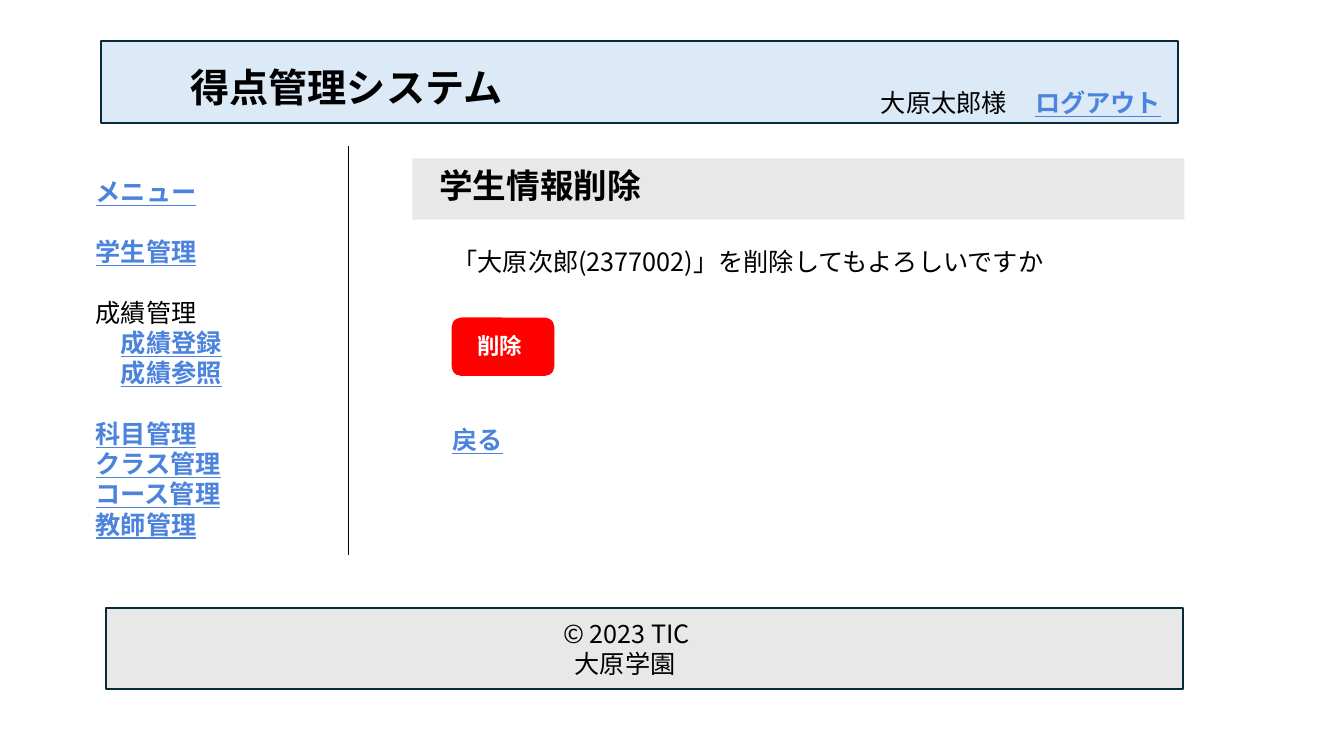
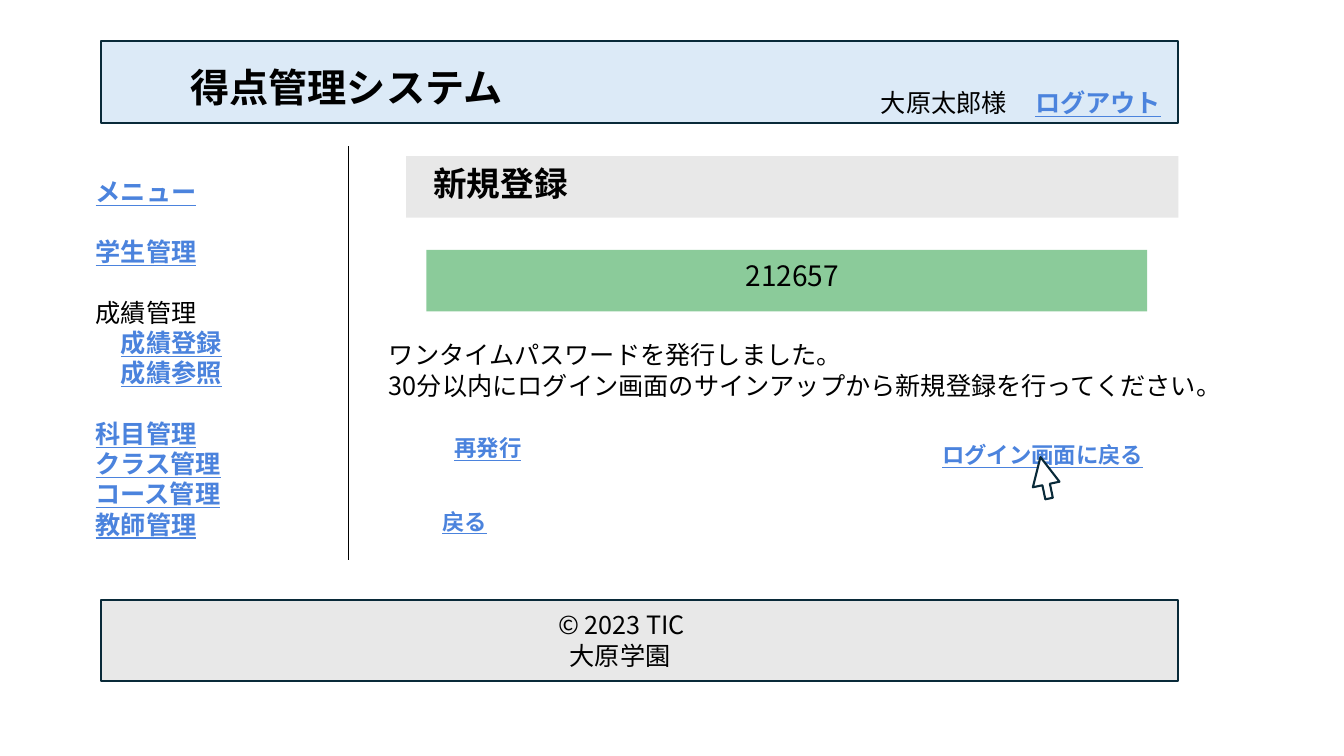
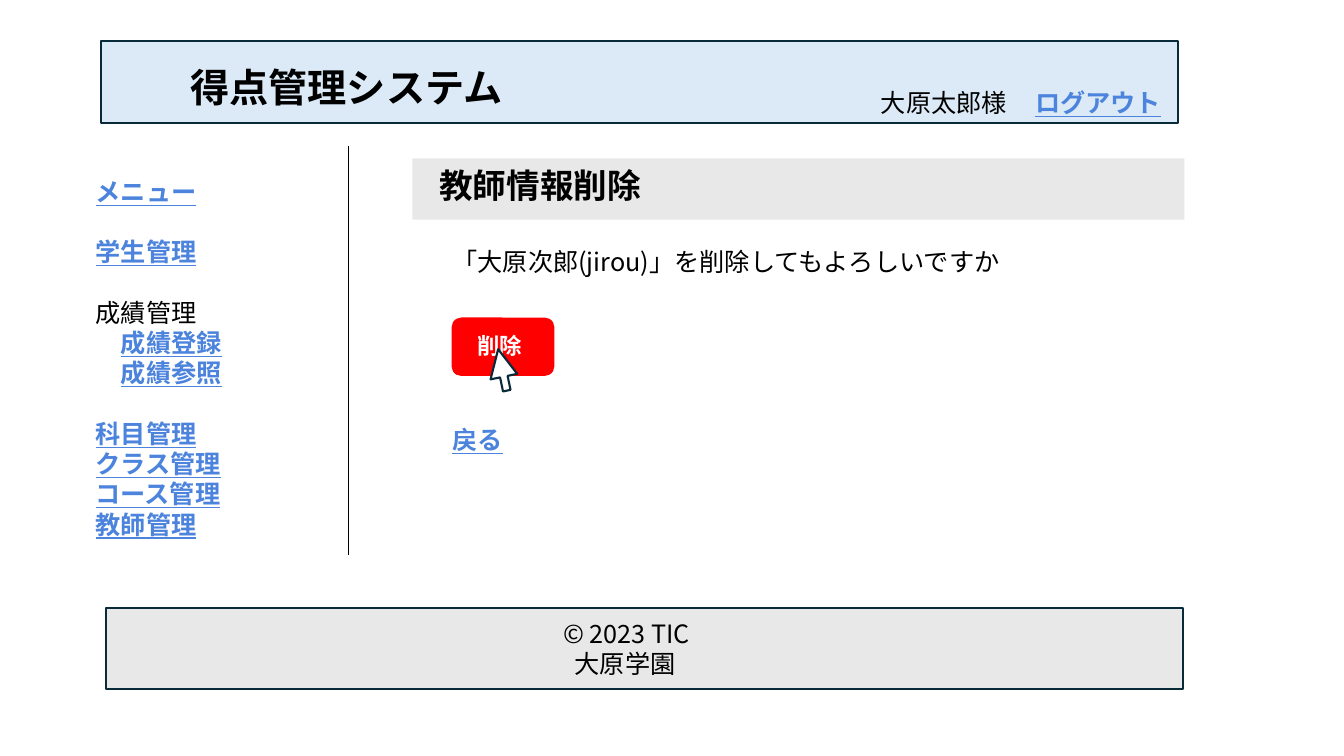
from dataclasses import dataclass
from typing import Optional

from lxml import etree
from pptx import Presentation
from pptx import util as u
from pptx.dml.color import RGBColor
from pptx.enum import shapes, text
from pptx.oxml import ns

CELL = 0.1  # inches per grid column and row
WIDE, HIGH = 133.33, 75
FONT = "Noto Sans CJK JP"
LEAD = 1.2
COLORS = {
    "ink": "000000",
    "link": "4B83DD",
    "white": "FFFFFF",
    "edge": "092A39",
    "head": "DCEAF7",
    "gray": "E8E8E8",
    "green": "8BCB9A",
    "red": "FF0000",
}
KIND = shapes.MSO_SHAPE


@dataclass(frozen=True)
class Box:
    """Place and size in grid cells."""
    x: float
    y: float
    w: float
    h: float


@dataclass(frozen=True)
class Line:
    """One paragraph: indent in em, blank lines left above it."""
    words: str
    link: bool = False
    indent: float = 0
    gap: int = 0


@dataclass(frozen=True)
class Frame:
    """Places that differ between the page types."""
    bar: Box
    foot: Box
    end: float


ASK = Frame(Box(40.9, 15.7, 76.6, 6.1), Box(10.5, 60.3, 106.9, 8.1), 55.1)
DONE = Frame(Box(40.3, 15.5, 76.6, 6.1), Box(10, 59.5, 106.9, 8.1), 55.6)

MENU = [
    Line("メニュー", True),
    Line("学生管理", True, gap=1),
    Line("成績管理", gap=1),
    Line("成績登録", True, indent=1),
    Line("成績参照", True, indent=1),
    Line("科目管理", True, gap=1),
    Line("クラス管理", True),
    Line("コース管理", True),
    Line("教師管理", True),
]


def cells(num: float) -> int:
    return u.Inches(num * CELL)


def rgb(name: str) -> RGBColor:
    return RGBColor.from_string(COLORS[name])


def place(box: Box) -> tuple:
    return tuple(cells(num) for num in (box.x, box.y, box.w, box.h))


def write(slide, box: Box, lines, *, size: float = 18, color: str = "ink",
          bold: bool = False, link: bool = False, center: bool = False) -> None:
    """Add a text box from a string or a list of lines."""
    frame = slide.shapes.add_textbox(*place(box)).text_frame
    frame.word_wrap = True
    if isinstance(lines, str):
        lines = [Line(lines, link)]
    for num, line in enumerate(lines):
        par = frame.add_paragraph() if num else frame.paragraphs[0]
        par.line_spacing = u.Pt(size * LEAD)
        if center:
            par.alignment = text.PP_ALIGN.CENTER
        if line.gap:
            par.space_before = u.Pt(size * LEAD * line.gap)
        if line.indent:
            par._p.get_or_add_pPr().set("marL", str(u.Pt(size * line.indent)))
        run = par.add_run()
        run.text = line.words
        font = run.font
        font.name, font.size = FONT, u.Pt(size)
        font.bold = bold or line.link
        font.underline = line.link
        font.color.rgb = rgb("link" if line.link else color)
        etree.SubElement(run._r.get_or_add_rPr(), ns.qn("a:ea"), typeface=FONT)


def shape(slide, box: Box, fill: str, kind=KIND.RECTANGLE,
          edge: Optional[str] = None):
    item = slide.shapes.add_shape(kind, *place(box))
    item.shadow.inherit = False
    item.fill.solid()
    item.fill.fore_color.rgb = rgb(fill)
    if edge:
        item.line.color.rgb = rgb(edge)
        item.line.width = u.Pt(1.5)
    else:
        item.line.fill.background()
    return item


def rule(slide, x: float, top: float, end: float) -> None:
    """Draw the upright line beside the menu."""
    item = slide.shapes.add_connector(
        shapes.MSO_CONNECTOR.STRAIGHT, cells(x), cells(top), cells(x), cells(end))
    item.line.color.rgb = rgb("ink")
    item.line.width = u.Pt(1)
    etree.SubElement(item._element.spPr, ns.qn("a:effectLst"))


def cursor(slide, x: float, y: float) -> None:
    item = shape(slide, Box(x, y, 2.7, 4.2), "white", KIND.UP_ARROW, "edge")
    item.adjustments[0], item.adjustments[1] = 0.28, 1.03
    item.rotation = 348.2


def page(deck, title: str, frame: Frame):
    """Add a slide with header, menu, title bar and footer."""
    slide = deck.slides.add_slide(deck.slide_layouts[6])
    rule(slide, 34.6, 14.5, frame.end)
    shape(slide, Box(10, 4.1, 106.9, 8.1), "head", edge="edge")
    write(slide, Box(17.9, 5.8, 91.1, 5.7), "得点管理システム", size=28, bold=True)
    write(slide, Box(86.4, 8.2, 15.3, 4), "大原太郎様")
    write(slide, Box(101.7, 8.2, 15.3, 4), "ログアウト", link=True)
    bar, foot = frame.bar, frame.foot
    shape(slide, bar, "gray")
    write(slide, Box(bar.x + 1.7, bar.y + 0.2, 52.9, 5), title, size=24, bold=True)
    shape(slide, foot, "gray", edge="edge")
    write(slide, Box(foot.x + 44.4, foot.y + 0.5, 20.4, 7.1),
          [Line("© 2023 TIC"), Line("大原学園", indent=0.45)])
    write(slide, Box(8.5, 17, 24.2, 37.4), MENU)
    return slide


def ask(deck, title: str, name: str):
    """Add a page that asks whether to delete a person."""
    slide = page(deck, title, ASK)
    shape(slide, Box(44.8, 31.5, 10.2, 5.8), "red", KIND.ROUNDED_RECTANGLE)
    write(slide, Box(46.4, 32.5, 7, 3.7), "削除", size=16, color="white", bold=True)
    write(slide, Box(43.9, 41.6, 21.2, 4), "戻る", link=True)
    write(slide, Box(43.9, 23.9, 66, 4), f"「{name}」を削除してもよろしいですか")
    return slide


def issue(deck) -> None:
    """Add the page that shows a one-time password."""
    slide = page(deck, "新規登録", DONE)
    shape(slide, Box(42.3, 24.8, 71.5, 6.1), "green")
    write(slide, Box(65.1, 25.2, 27, 4.4), "212657", size=20, center=True)
    write(slide, Box(37.6, 33.2, 88, 7.1), [
        Line("ワンタイムパスワードを発行しました。"),
        Line("30分以内にログイン画面のサインアップから新規登録を行ってください。"),
    ])
    for x, y, wide, words in (
        (42.9, 49.9, 12.2, "戻る"),
        (44.1, 42.6, 12.2, "再発行"),
        (92.5, 43.3, 23.7, "ログイン画面に戻る"),
    ):
        write(slide, Box(x, y, wide, 3.7), words, size=16, link=True)
    cursor(slide, 102.3, 45.3)


def main() -> None:
    deck = Presentation()
    deck.slide_width, deck.slide_height = cells(WIDE), cells(HIGH)
    ask(deck, "学生情報削除", "大原次郎(2377002)")
    issue(deck)
    cursor(ask(deck, "教師情報削除", "大原次郎(jirou)"), 48.5, 34.6)
    deck.save("out.pptx")


if __name__ == "__main__":
    main()
